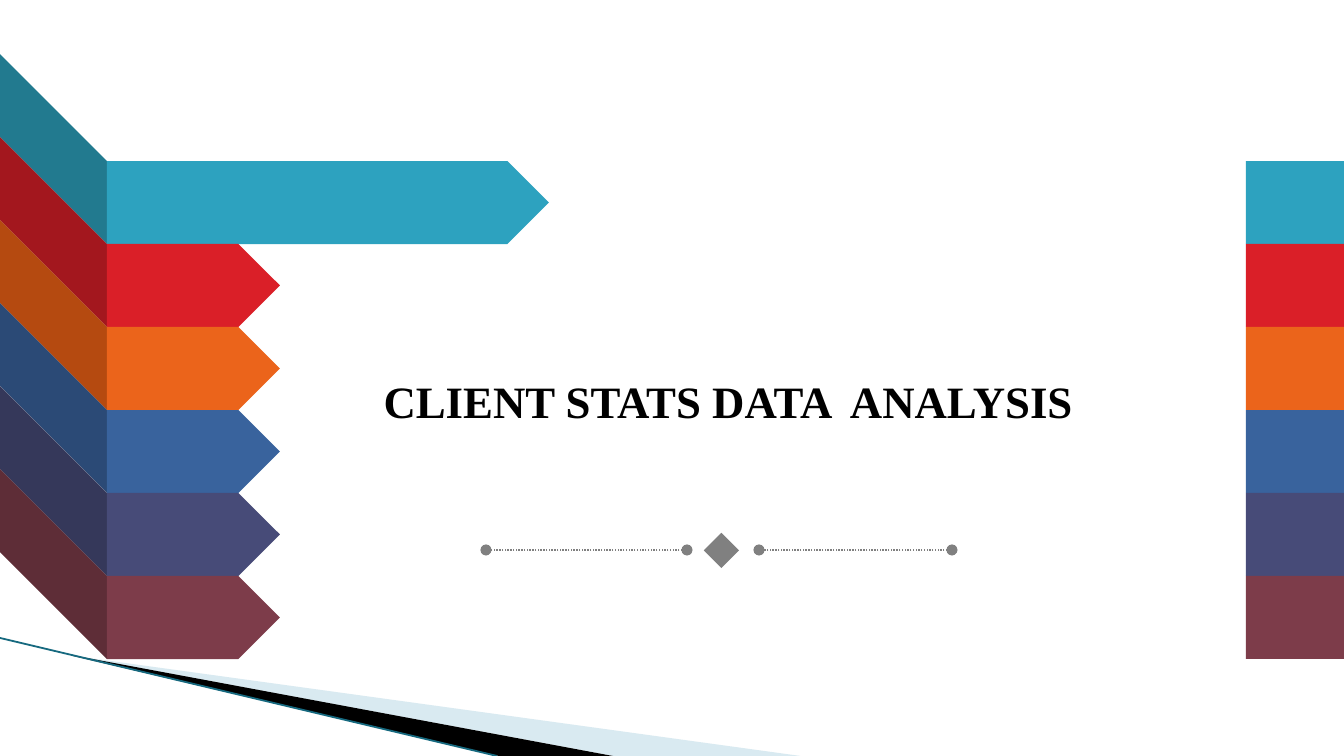
import pptx
import pptx.util
import pptx.dml.color
import pptx.enum.dml
import pptx.enum.shapes
import pptx.enum.text
import pptx.oxml.ns
import pptx.oxml.xmlchemy

RGBColor = pptx.dml.color.RGBColor
Shapes = pptx.enum.shapes.MSO_SHAPE
Dash = pptx.enum.dml.MSO_LINE

SCALE = 914400 / 134.4  # EMU per pixel
BLACK = RGBColor(0x00, 0x00, 0x00)
GRAY = RGBColor(0x80, 0x80, 0x80)
PALE_BLUE = RGBColor(0xA0, 0xCB, 0xDC)
DARK_TEAL = RGBColor(0x16, 0x69, 0x7F)
# Each ribbon: front colour, colour of its shaded fold
RIBBONS = [
    (RGBColor(0x2D, 0xA2, 0xBF), RGBColor(0x22, 0x7A, 0x8F)),
    (RGBColor(0xDA, 0x1F, 0x28), RGBColor(0xA3, 0x17, 0x1E)),
    (RGBColor(0xEB, 0x64, 0x1B), RGBColor(0xB5, 0x4A, 0x10)),
    (RGBColor(0x39, 0x63, 0x9D), RGBColor(0x2B, 0x4A, 0x76)),
    (RGBColor(0x47, 0x4B, 0x78), RGBColor(0x35, 0x38, 0x5A)),
    (RGBColor(0x7D, 0x3C, 0x4A), RGBColor(0x5E, 0x2D, 0x37)),
]


def emu(pixels):
    return pptx.util.Emu(round(pixels * SCALE))


class SlideBuilder:
    font_name = "Times New Roman"

    def __init__(self, slide):
        self.slide = slide

    def add_element(self, parent, tag, **attributes):
        element = pptx.oxml.xmlchemy.OxmlElement(tag)
        for name, value in attributes.items():
            element.set(name, value)
        parent.append(element)

    def paint(self, shape, color, opacity=100):
        shape.shadow.inherit = False
        shape.fill.solid()
        shape.fill.fore_color.rgb = color
        shape.line.fill.background()
        if opacity < 100:
            fill_color = shape._element.spPr.find(
                ".//" + pptx.oxml.ns.qn("a:srgbClr"))
            self.add_element(fill_color, "a:alpha", val=str(opacity * 1000))
        return shape

    def preset(self, kind, left, top, width, height, color):
        shape = self.slide.shapes.add_shape(
            kind, emu(left), emu(top), emu(width), emu(height))
        return self.paint(shape, color)

    def polygon(self, points, color, opacity=100):
        builder = self.slide.shapes.build_freeform(*points[0], scale=SCALE)
        builder.add_line_segments(points[1:], close=True)
        return self.paint(builder.convert_to_shape(), color, opacity)

    def line(self, start, end, color, width, dash=None, dots=False):
        connector = self.slide.shapes.add_connector(
            pptx.enum.shapes.MSO_CONNECTOR.STRAIGHT,
            *[emu(value) for value in (*start, *end)])
        connector.line.color.rgb = color
        connector.line.width = pptx.util.Pt(width)
        properties = connector._element.spPr
        if dash:
            connector.line.dash_style = dash
        if dots:
            outline = properties.find(pptx.oxml.ns.qn("a:ln"))
            for tag in ("a:headEnd", "a:tailEnd"):
                self.add_element(outline, tag, type="oval")
        self.add_element(properties, "a:effectLst")

    def title(self, text, left, top, width, height, size):
        shape = self.slide.shapes.title
        shape.left, shape.top = emu(left), emu(top)
        shape.width, shape.height = emu(width), emu(height)
        frame = shape.text_frame
        frame.text = text
        frame.word_wrap = True
        frame.auto_size = pptx.enum.text.MSO_AUTO_SIZE.SHAPE_TO_FIT_TEXT
        frame.vertical_anchor = pptx.enum.text.MSO_ANCHOR.TOP
        paragraph = frame.paragraphs[0]
        paragraph.alignment = pptx.enum.text.PP_ALIGN.CENTER
        paragraph.font.name = self.font_name
        paragraph.font.size = pptx.util.Pt(size)
        paragraph.font.bold = True
        paragraph.font.color.rgb = BLACK


presentation = pptx.Presentation()
presentation.slide_width, presentation.slide_height = emu(1344), emu(756)
builder = SlideBuilder(presentation.slides.add_slide(presentation.slide_layouts[5]))

# Swoosh along the bottom edge
builder.polygon([(74, 656), (800, 756), (613, 756)], PALE_BLUE, opacity=40)
builder.polygon([(71, 655), (613, 756), (499, 756), (73, 656)], BLACK)
builder.line((0, 638), (497, 756), DARK_TEAL, 0.95)

# Ribbons: shaded fold, arrow and matching block at the right edge
FOLD = 107
FIRST_TOP = 161
BAND = 83
for row, (front, shade) in enumerate(RIBBONS):
    top = FIRST_TOP + row * BAND
    bottom = top + BAND
    builder.polygon(
        [(0, top - FOLD), (FOLD, top), (FOLD, bottom), (0, bottom - FOLD)], shade)
    arrow_width = 442 if row == 0 else 173
    builder.preset(Shapes.PENTAGON, FOLD, top, arrow_width, BAND, front)
    builder.preset(Shapes.RECTANGLE, 1246, top, 98, BAND, front)

# Title
builder.title("CLIENT STATS DATA  ANALYSIS", 351, 367, 754, 67, 24)

# Divider: diamond between two dotted lines
diamond = builder.preset(Shapes.RECTANGLE, 709, 538, 25, 25, GRAY)
diamond.rotation = 45
for right, left in ((687, 486), (952, 759)):
    builder.line((right, 550), (left, 550), GRAY, 0.75, Dash.ROUND_DOT, dots=True)

presentation.save("out.pptx")
